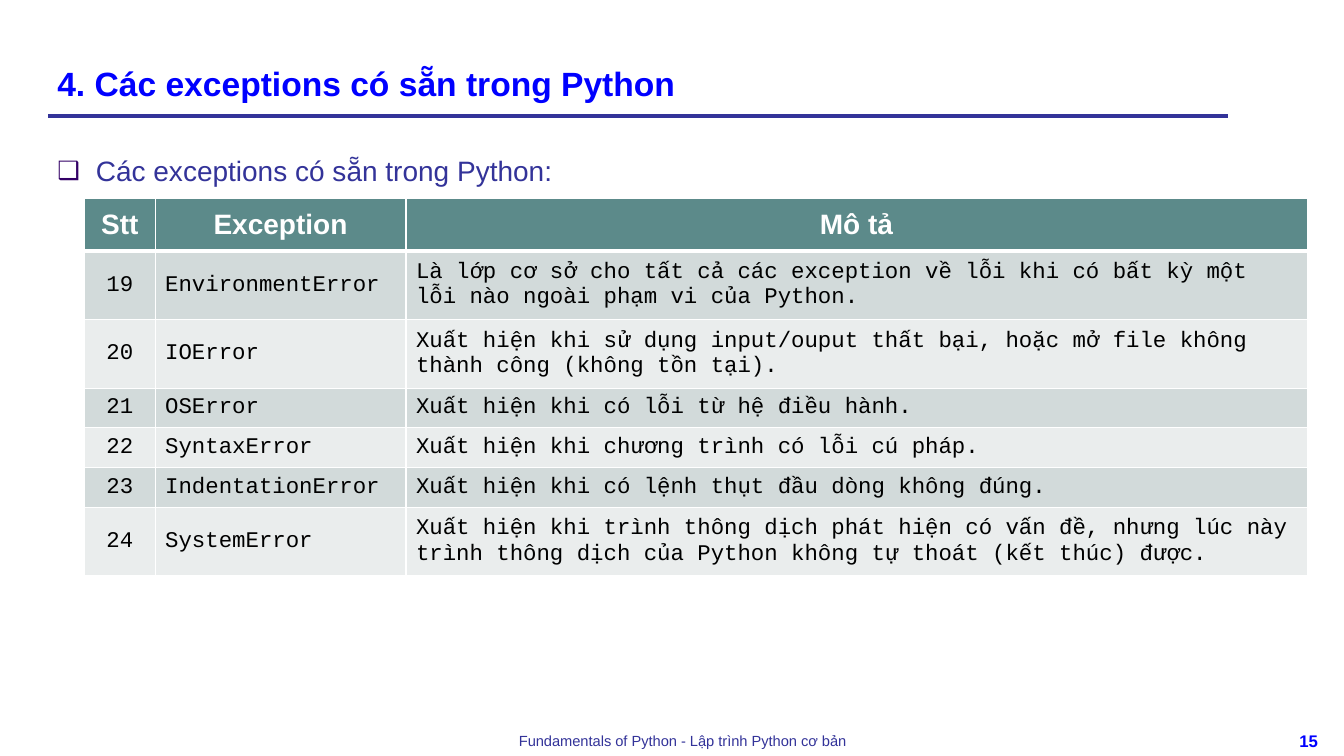
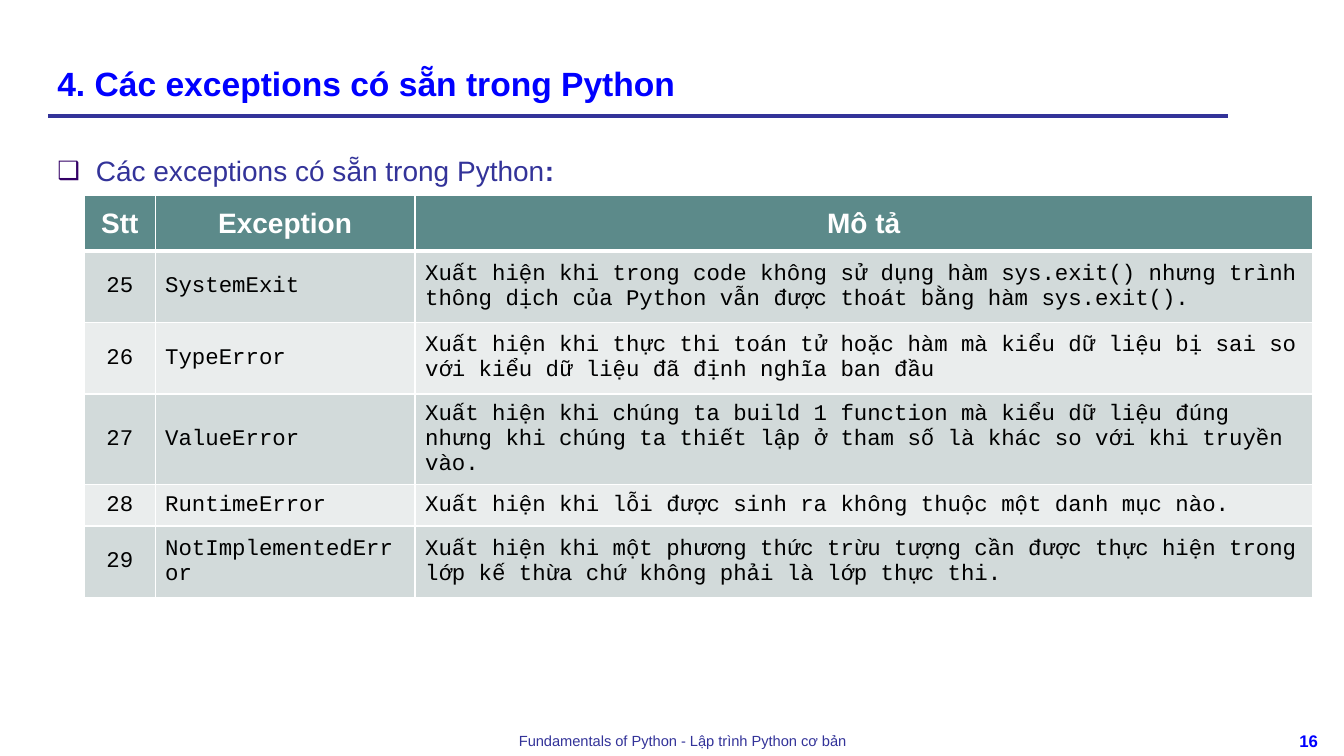
from lxml import etree
from pptx import Presentation
from pptx.dml.color import RGBColor
from pptx.enum.shapes import MSO_CONNECTOR
from pptx.enum.text import MSO_ANCHOR, MSO_AUTO_SIZE, PP_ALIGN
from pptx.oxml.ns import qn
from pptx.util import Cm, Pt

LEFT, CENTER, JUSTIFY = PP_ALIGN.LEFT, PP_ALIGN.CENTER, PP_ALIGN.JUSTIFY
TOP, MIDDLE, BOTTOM = MSO_ANCHOR.TOP, MSO_ANCHOR.MIDDLE, MSO_ANCHOR.BOTTOM
STRAIGHT = MSO_CONNECTOR.STRAIGHT
NO_AUTOFIT = MSO_AUTO_SIZE.NONE

INDIGO = RGBColor(0x33, 0x33, 0x99)
BLUE = RGBColor(0x00, 0x00, 0xFF)
PURPLE = RGBColor(0x33, 0x00, 0x66)
TEAL = RGBColor(0x5C, 0x8A, 0x8A)
BAND_DARK = RGBColor(0xD2, 0xDA, 0xDA)
BAND_LIGHT = RGBColor(0xEA, 0xED, 0xED)
WHITE = RGBColor(0xFF, 0xFF, 0xFF)
BLACK = RGBColor(0x00, 0x00, 0x00)

SANS = "Arial"
MONO = "Courier New"

TITLE = "4. Các exceptions có sẵn trong Python"
LEAD = "Các exceptions có sẵn trong Python"
FOOTER = "Fundamentals of Python - Lập trình Python cơ bản"
HEADERS = ("Stt", "Exception", "Mô tả")
FIRST_PAGE = 15

TITLE_BOX = (1.19, 0.53, 29.34, 2.21)
BODY_BOX = (1.19, 3.33, 29.34, 14.4)
FOOTER_BOX = (8.18, 18.31, 18.06, 0.74)
NUMBER_BOX = (32.18, 18.29, 1.6, 0.76)
RULE = (1.22, 2.92, 30.94, 2.92)
TABLE_LEFT = 2.13

PAGES = [
    {
        "bold_colon": False,
        "first_number": 19,
        "top": 5.0,
        "columns": (1.78, 6.32, 22.71),
        "heights": (1.32, 1.73, 1.73, 1, 1, 1, 1.73),
        "exceptions": [
            ("EnvironmentError", "Là lớp cơ sở cho tất cả các exception về lỗi khi có bất kỳ một "
             "lỗi nào ngoài phạm vi của Python."),
            ("IOError", "Xuất hiện khi sử dụng input/ouput thất bại, hoặc mở file không "
             "thành công (không tồn tại)."),
            ("OSError", "Xuất hiện khi có lỗi từ hệ điều hành."),
            ("SyntaxError", "Xuất hiện khi chương trình có lỗi cú pháp."),
            ("IndentationError", "Xuất hiện khi có lệnh thụt đầu dòng không đúng."),
            ("SystemError", "Xuất hiện khi trình thông dịch phát hiện có vấn đề, nhưng lúc này "
             "trình thông dịch của Python không tự thoát (kết thúc) được."),
        ],
    },
    {
        "bold_colon": True,
        "first_number": 25,
        "top": 4.93,
        "columns": (1.78, 6.55, 22.61),
        "heights": (1.4, 1.8, 1.8, 1.8, 1.04, 1.8),
        "exceptions": [
            ("SystemExit", "Xuất hiện khi trong code không sử dụng hàm sys.exit() nhưng trình "
             "thông dịch của Python vẫn được thoát bằng hàm sys.exit()."),
            ("TypeError", "Xuất hiện khi thực thi toán tử hoặc hàm mà kiểu dữ liệu bị sai so "
             "với kiểu dữ liệu đã định nghĩa ban đầu"),
            ("ValueError", "Xuất hiện khi chúng ta build 1 function mà kiểu dữ liệu đúng "
             "nhưng khi chúng ta thiết lập ở tham số là khác so với khi truyền vào."),
            ("RuntimeError", "Xuất hiện khi lỗi được sinh ra không thuộc một danh mục nào."),
            ("NotImplementedError", "Xuất hiện khi một phương thức trừu tượng cần được thực hiện "
             "trong lớp kế thừa chứ không phải là lớp thực thi."),
        ],
    },
]


def lengths(values):
    return [Cm(value) for value in values]


def write_text(paragraph, text, size=16, color=BLACK, font=SANS, bold=False, align=LEFT):
    paragraph.alignment = align
    run = paragraph.add_run()
    run.text = text
    run.font.size = Pt(size)
    run.font.name = font
    run.font.bold = bold
    run.font.color.rgb = color


def place(shape, box):
    shape.left, shape.top, shape.width, shape.height = lengths(box)


def prepare_placeholder(shape, anchor):
    frame = shape.text_frame
    frame.auto_size = NO_AUTOFIT
    frame.vertical_anchor = anchor
    return frame.paragraphs[0]


def add_bullet(paragraph):
    properties = paragraph._p.get_or_add_pPr()
    properties.set("marL", str(Cm(0.97)))
    properties.set("indent", str(Cm(-0.97)))
    color = etree.SubElement(properties, qn("a:buClr"))
    etree.SubElement(color, qn("a:srgbClr"), val=str(PURPLE))
    etree.SubElement(properties, qn("a:buSzPct"), val="90000")
    etree.SubElement(properties, qn("a:buChar"), char="❑")


def add_label(slide, box, text, **style):
    frame = slide.shapes.add_textbox(*lengths(box)).text_frame
    frame.word_wrap = True
    write_text(frame.paragraphs[0], text, align=CENTER, **style)


def add_rule(slide):
    rule = slide.shapes.add_connector(STRAIGHT, *lengths(RULE))
    rule.line.color.rgb = INDIGO
    rule.line.width = Pt(3)
    etree.SubElement(rule._element.spPr, qn("a:effectLst"))


def set_borders(cell, bottom, top):
    properties = cell._tc.get_or_add_tcPr()
    for side, points in (("lnL", 1), ("lnR", 1), ("lnT", top), ("lnB", bottom)):
        line = etree.SubElement(properties, qn(f"a:{side}"), w=str(Pt(points)))
        fill = etree.SubElement(line, qn("a:solidFill"))
        etree.SubElement(fill, qn("a:srgbClr"), val=str(WHITE))


def add_exception_table(slide, page):
    rows = [HEADERS] + [
        (str(number), name, description)
        for number, (name, description) in enumerate(page["exceptions"], page["first_number"])
    ]
    columns, heights = lengths(page["columns"]), lengths(page["heights"])
    table = slide.shapes.add_table(
        len(rows), len(columns), Cm(TABLE_LEFT), Cm(page["top"]), sum(columns), sum(heights)
    ).table
    table.horz_banding = False
    for column, width in zip(table.columns, columns):
        column.width = width
    for row_index, (texts, height) in enumerate(zip(rows, heights)):
        table.rows[row_index].height = height
        is_header = row_index == 0
        band = TEAL if is_header else BAND_DARK if row_index % 2 else BAND_LIGHT
        for column_index, (text, align) in enumerate(zip(texts, (CENTER, JUSTIFY, LEFT))):
            cell = table.cell(row_index, column_index)
            set_borders(cell, bottom=3 if is_header else 1, top=3 if row_index == 1 else 1)
            cell.fill.solid()
            cell.fill.fore_color.rgb = band
            cell.vertical_anchor = MIDDLE
            paragraph = cell.text_frame.paragraphs[0]
            if is_header:
                write_text(paragraph, text, size=20, color=WHITE, bold=True, align=CENTER)
            else:
                write_text(paragraph, text, font=MONO, align=align)


def add_page(presentation, layout, page, page_number):
    slide = presentation.slides.add_slide(layout)
    add_rule(slide)
    add_label(slide, FOOTER_BOX, FOOTER, size=10.5, color=INDIGO)
    add_label(slide, NUMBER_BOX, str(page_number), size=12, color=BLUE, bold=True)

    title = prepare_placeholder(slide.shapes.title, BOTTOM)
    write_text(title, TITLE, size=24, color=BLUE, bold=True)

    lead = prepare_placeholder(slide.placeholders[1], TOP)
    lead.line_spacing = 1.5
    lead.space_before = Pt(0)
    add_bullet(lead)
    write_text(lead, LEAD, size=20, color=INDIGO)
    write_text(lead, ":", size=20, color=INDIGO, bold=page["bold_colon"])

    add_exception_table(slide, page)


def main():
    presentation = Presentation()
    presentation.slide_width, presentation.slide_height = Cm(33.87), Cm(19.05)
    layout = presentation.slide_layouts[1]
    for shape, box in zip(layout.placeholders, (TITLE_BOX, BODY_BOX)):
        place(shape, box)
    for page_number, page in enumerate(PAGES, FIRST_PAGE):
        add_page(presentation, layout, page, page_number)
    presentation.save("out.pptx")


if __name__ == "__main__":
    main()
